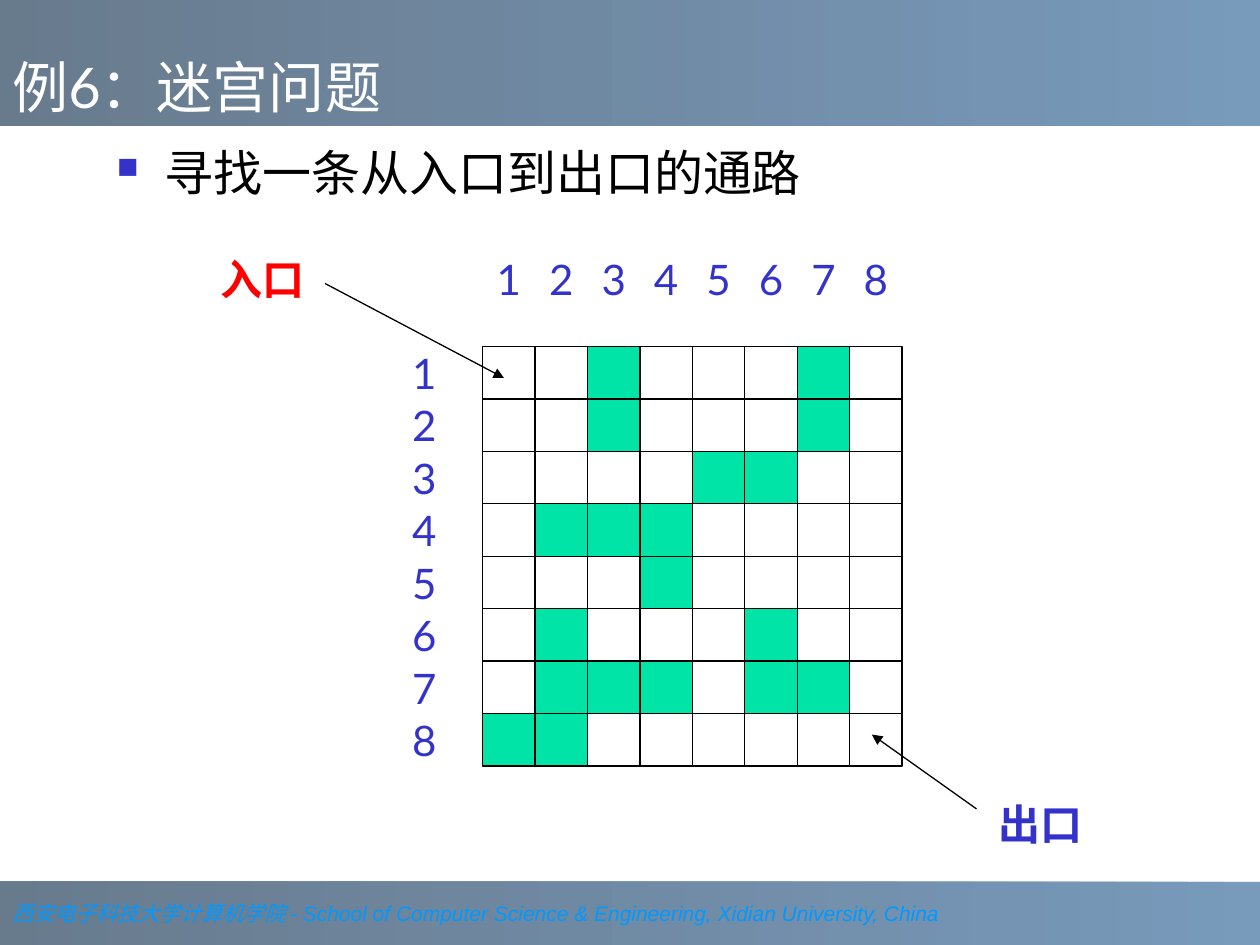
from lxml.etree import SubElement
from pptx import Presentation
from pptx.dml.color import RGBColor
from pptx.enum.shapes import MSO_CONNECTOR, MSO_SHAPE
from pptx.enum.text import MSO_ANCHOR, PP_ALIGN
from pptx.oxml.ns import qn
from pptx.util import Inches, Pt

BLUE = "3333CC"
RED = "FF0000"
BLACK = "000000"
WHITE = "FFFFFF"
WALL = "00E4A8"
FOOTER_BLUE = "0099FF"
BAND_STOPS = ("336699", "1B3753")
MAZE = (
    "..#...#.",
    "..#...#.",
    "....##..",
    ".###....",
    "...#....",
    ".#...#..",
    ".###.##.",
    "##......",
)


def color(value):
    return RGBColor.from_string(value)


def add_run(paragraph, text, size, value, font="Lato", bold=False, italic=False):
    run = paragraph.add_run()
    run.text = text
    run.font.size = Pt(size)
    run.font.name = font
    run.font.bold = bold
    run.font.italic = italic
    run.font.color.rgb = color(value)


def add_text_box(shapes, box, anchor=MSO_ANCHOR.TOP, wrap=True):
    frame = shapes.add_textbox(*box).text_frame
    frame.word_wrap = wrap
    frame.vertical_anchor = anchor
    return frame.paragraphs[0]


def add_label(shapes, box, text, value=BLUE, bold=False):
    paragraph = add_text_box(shapes, box, MSO_ANCHOR.MIDDLE, wrap=False)
    paragraph.alignment = PP_ALIGN.CENTER
    add_run(paragraph, text, 24, value, bold=bold)


def add_band(slide, box):
    band = slide.shapes.add_shape(MSO_SHAPE.RECTANGLE, *box)
    band.shadow.inherit = False
    band.line.fill.background()
    band.fill.gradient()
    band.fill.gradient_angle = 180
    for stop, value in zip(band.fill.gradient_stops, BAND_STOPS):
        stop.color.rgb = color(value)
    for element in band._element.spPr.iter(qn("a:srgbClr")):
        SubElement(element, qn("a:alpha")).set("val", "66000")
    return band


def add_header(slide, box):
    add_band(slide, box)
    paragraph = add_text_box(slide.shapes, box, MSO_ANCHOR.BOTTOM)
    add_run(paragraph, "例6：迷宫问题", 32, WHITE)


def add_footer(slide, box):
    frame = add_band(slide, box).text_frame
    frame.word_wrap = True
    frame.vertical_anchor = MSO_ANCHOR.MIDDLE
    paragraph = frame.paragraphs[0]
    paragraph.alignment = PP_ALIGN.LEFT
    add_run(paragraph, "西安电子科技大学计算机学院 ", 12, FOOTER_BLUE,
            "Times New Roman", italic=True)
    add_run(paragraph, "- School of Computer Science & Engineering, Xidian University, China",
            12, FOOTER_BLUE, "Arial", italic=True)


def add_task(slide, box):
    paragraph = add_text_box(slide.shapes, box)
    properties = paragraph._p.get_or_add_pPr()
    properties.set("marL", str(Inches(0.38)))
    properties.set("indent", str(-Inches(0.38)))
    bullet_color = SubElement(properties, qn("a:buClr"))
    SubElement(bullet_color, qn("a:srgbClr")).set("val", BLUE)
    SubElement(properties, qn("a:buSzPct")).set("val", "60000")
    SubElement(properties, qn("a:buChar")).set("char", "■")
    add_run(paragraph, "寻找一条从入口到出口的通路", 28, BLACK)


def add_cell(shapes, box, is_wall):
    cell = shapes.add_shape(MSO_SHAPE.RECTANGLE, *box)
    cell.shadow.inherit = False
    cell.line.color.rgb = color(BLACK)
    cell.line.width = Pt(0.75)
    if is_wall:
        cell.fill.solid()
        cell.fill.fore_color.rgb = color(WALL)
    else:
        cell.fill.background()


def add_maze(slide, left, top, size):
    shapes = slide.shapes.add_group_shape().shapes
    count = len(MAZE)
    side = size // count
    for row, marks in enumerate(MAZE):
        for column, mark in enumerate(marks):
            box = (left + column * side, top + row * side, side, side)
            add_cell(shapes, box, mark == "#")
    for index in range(count):
        offset = index * side
        number = str(index + 1)
        add_label(shapes, (left + offset, top - Inches(0.75), side, side), number)
        add_label(shapes, (left - Inches(0.67), top + offset, side, side), number)


def add_gate(slide, box, text, value, start, end):
    shapes = slide.shapes.add_group_shape().shapes
    add_label(shapes, box, text, value, bold=True)
    arrow = shapes.add_connector(MSO_CONNECTOR.STRAIGHT, *start, *end)
    arrow.line.color.rgb = color(BLACK)
    arrow.line.width = Pt(0.75)
    SubElement(arrow.line._get_or_add_ln(), qn("a:tailEnd")).set("type", "triangle")
    SubElement(arrow._element.spPr, qn("a:effectLst"))


def inches(*values):
    return tuple(Inches(value) for value in values)


def main():
    presentation = Presentation()
    presentation.slide_width, presentation.slide_height = inches(10, 7.5)
    slide = presentation.slides.add_slide(presentation.slide_layouts[6])
    add_footer(slide, inches(0, 7, 10, 0.5))
    add_header(slide, inches(0, 0, 10, 1))
    add_maze(slide, *inches(3.83, 2.75, 3.33))
    add_gate(slide, inches(1.5, 2, 1.17, 0.42), "入口", RED,
             inches(2.58, 2.25), inches(4, 3))
    add_gate(slide, inches(7.67, 6.33, 1.17, 0.42), "出口", BLUE,
             inches(7.75, 6.42), inches(6.92, 5.83))
    add_task(slide, inches(0.83, 1.08, 8.5, 0.79))
    presentation.save("out.pptx")


if __name__ == "__main__":
    main()
